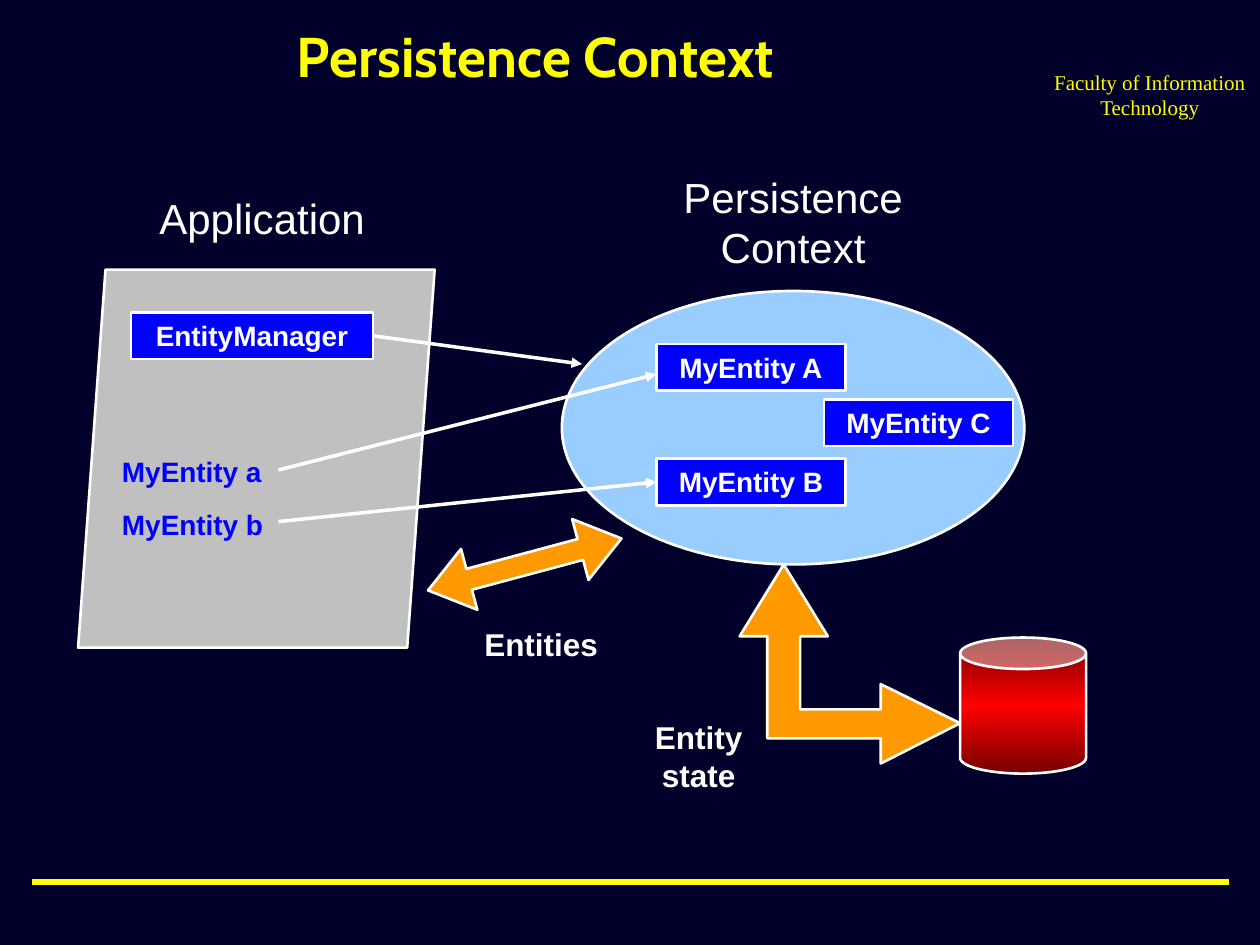
from lxml.etree import SubElement
from pptx import Presentation
from pptx.dml.color import RGBColor
from pptx.enum.shapes import MSO_CONNECTOR, MSO_SHAPE
from pptx.enum.text import MSO_ANCHOR, PP_ALIGN
from pptx.oxml import parse_xml
from pptx.oxml.ns import nsdecls, qn
from pptx.util import Inches, Pt

NAVY = RGBColor(0x00, 0x00, 0x2A)
YELLOW = RGBColor(0xFF, 0xFF, 0x00)
WHITE = RGBColor(0xFF, 0xFF, 0xFF)
BLUE = RGBColor(0x00, 0x00, 0xFF)
SKY = RGBColor(0x99, 0xCC, 0xFF)
SILVER = RGBColor(0xC0, 0xC0, 0xC0)
ORANGE = RGBColor(0xFF, 0x99, 0x00)
RED = RGBColor(0xFF, 0x00, 0x00)
MAROON = RGBColor(0x75, 0x00, 0x00)


def write(shape, text, size=16, font="Arial", color=WHITE, bold=False,
          align=PP_ALIGN.CENTER, anchor=MSO_ANCHOR.TOP):
    frame = shape.text_frame
    frame.word_wrap = True
    frame.vertical_anchor = anchor
    para = frame.paragraphs[0]
    para.alignment = align
    span = para.add_run()
    span.text = text
    span.font.size = Pt(size)
    span.font.name = font
    span.font.bold = bold
    span.font.color.rgb = color


def add_label(page, left, top, width, height, text, **style):
    label = page.shapes.add_textbox(left, top, width, height)
    write(label, text, **style)


def paint(shape, color):
    shape.shadow.inherit = False
    shape.fill.solid()
    shape.fill.fore_color.rgb = color
    shape.line.color.rgb = WHITE
    shape.line.width = Pt(1.5)


def add_figure(page, kind, left, top, width, height, color, adjustments=()):
    figure = page.shapes.add_shape(kind, left, top, width, height)
    paint(figure, color)
    for index, value in enumerate(adjustments):
        figure.adjustments[index] = value
    return figure


def add_entity(page, left, top, width, text):
    entity = add_figure(page, MSO_SHAPE.RECTANGLE, left, top, width, Inches(0.37), BLUE)
    write(entity, text, bold=True)
    return entity


def add_line(page, start, end, color=WHITE, width=2, arrow=True):
    line = page.shapes.add_connector(MSO_CONNECTOR.STRAIGHT, *start, *end)
    line.line.color.rgb = color
    line.line.width = Pt(width)
    if arrow:
        SubElement(line.line._get_or_add_ln(), qn("a:tailEnd"), type="triangle")
    SubElement(line._element.spPr, qn("a:effectLst"))
    return line


def add_frame(page, left, top, width, height):
    add_label(page, left + Inches(8.25), top + Inches(0.5), Inches(1.75), Inches(0.5),
              "Faculty of Information Technology",
              size=12, font="Times New Roman", color=YELLOW)
    rule = top + height - Inches(0.5)
    margin = Inches(0.25)
    add_line(page, (left + margin, rule), (left + width - margin, rule),
             color=YELLOW, width=3, arrow=False)
    add_label(page, left + margin, top, Inches(8), Inches(0.75), "Persistence Context",
              size=32, font="Cabin", color=YELLOW, bold=True, anchor=MSO_ANCHOR.BOTTOM)


def add_application(page, left, top, width, height):
    add_figure(page, MSO_SHAPE.PARALLELOGRAM, left, top, width, height, SILVER, [0.077])
    add_label(page, left + Inches(0.5), top - Inches(0.66), Inches(1.92), Inches(0.5),
              "Application", size=24)
    for row, name in enumerate("ab"):
        add_label(page, left + Inches(0.25), top + Inches(1.42 + 0.42 * row),
                  Inches(2.33), Inches(0.37), f"MyEntity {name}",
                  color=BLUE, bold=True, align=PP_ALIGN.LEFT)
    return add_entity(page, left + Inches(0.42), top + Inches(0.34), Inches(1.92),
                      "EntityManager")


def add_context(page, left, top, width, height):
    add_figure(page, MSO_SHAPE.OVAL, left, top, width, height, SKY)
    add_label(page, left + Inches(0.75), top - Inches(1), Inches(2.17), Inches(0.9),
              "Persistence Context", size=24)
    places = {"A": (0.75, 0.42), "B": (0.75, 1.33), "C": (2.08, 0.86)}
    return {name: add_entity(page, left + Inches(x), top + Inches(y), Inches(1.5),
                             f"MyEntity {name}")
            for name, (x, y) in places.items()}


def add_references(page, manager, entities):
    manager_link = add_line(page, (Inches(2.96), Inches(2.66)), (Inches(4.62), Inches(2.89)))
    manager_link.begin_connect(manager, 3)
    add_line(page, (Inches(2.21), Inches(3.73)), (Inches(5.21), Inches(2.97)))
    link_b = add_line(page, (Inches(2.21), Inches(4.14)), (Inches(5.21), Inches(3.81)))
    link_b.end_connect(entities["B"], 1)


def add_exchange(page, left, top, width, height):
    arrow = add_figure(page, MSO_SHAPE.LEFT_RIGHT_ARROW, left, top, width, height,
                       ORANGE, [0.342, 0.677])
    arrow.rotation = 345
    add_label(page, left + Inches(0.3), top + Inches(0.68), Inches(1.25), Inches(0.4),
              "Entities", size=18, bold=True)


def add_database(page, left, top, width, height):
    can = add_figure(page, MSO_SHAPE.CAN, left, top, width, height, RED, [0.25])
    stops = "".join(f'<a:gs pos="{spot}"><a:srgbClr val="{color}"/></a:gs>'
                    for spot, color in ((0, MAROON), (50000, RED), (100000, MAROON)))
    gradient = parse_xml(f'<a:gradFill {nsdecls("a")} rotWithShape="1"><a:gsLst>{stops}'
                         '</a:gsLst><a:lin ang="5400000" scaled="1"/></a:gradFill>')
    properties = can._element.spPr
    properties.replace(properties.find(qn("a:solidFill")), gradient)


def add_state_flow(page, left, top):
    corners = [(1.75, 1.26), (1.12, 0.95), (1.12, 1.15), (0.48, 1.15), (0.48, 0.57),
               (0.7, 0.57), (0.35, 0), (0, 0.57), (0.22, 0.57), (0.22, 1.38),
               (1.12, 1.38), (1.12, 1.58)]
    points = [(left + Inches(x), top + Inches(y)) for x, y in corners]
    builder = page.shapes.build_freeform(*points[0])
    builder.add_line_segments(points[1:], close=True)
    paint(builder.convert_to_shape(), ORANGE)
    add_label(page, left - Inches(0.95), top + Inches(1.17), Inches(1.25), Inches(0.7),
              "Entity state", size=18, bold=True)


def main():
    deck = Presentation()
    deck.slide_width = Inches(10)
    deck.slide_height = Inches(7.5)
    page = deck.slides.add_slide(deck.slide_layouts[6])
    page.background.fill.solid()
    page.background.fill.fore_color.rgb = NAVY
    add_frame(page, 0, 0, deck.slide_width, deck.slide_height)
    entities = add_context(page, Inches(4.46), Inches(2.31), Inches(3.67), Inches(2.17))
    manager = add_application(page, Inches(0.62), Inches(2.14), Inches(2.83), Inches(3))
    add_database(page, Inches(7.62), Inches(5.06), Inches(1), Inches(1.08))
    add_state_flow(page, Inches(5.87), Inches(4.48))
    add_exchange(page, Inches(3.37), Inches(4.23), Inches(1.59), Inches(0.5))
    add_references(page, manager, entities)
    deck.save("out.pptx")


if __name__ == "__main__":
    main()
